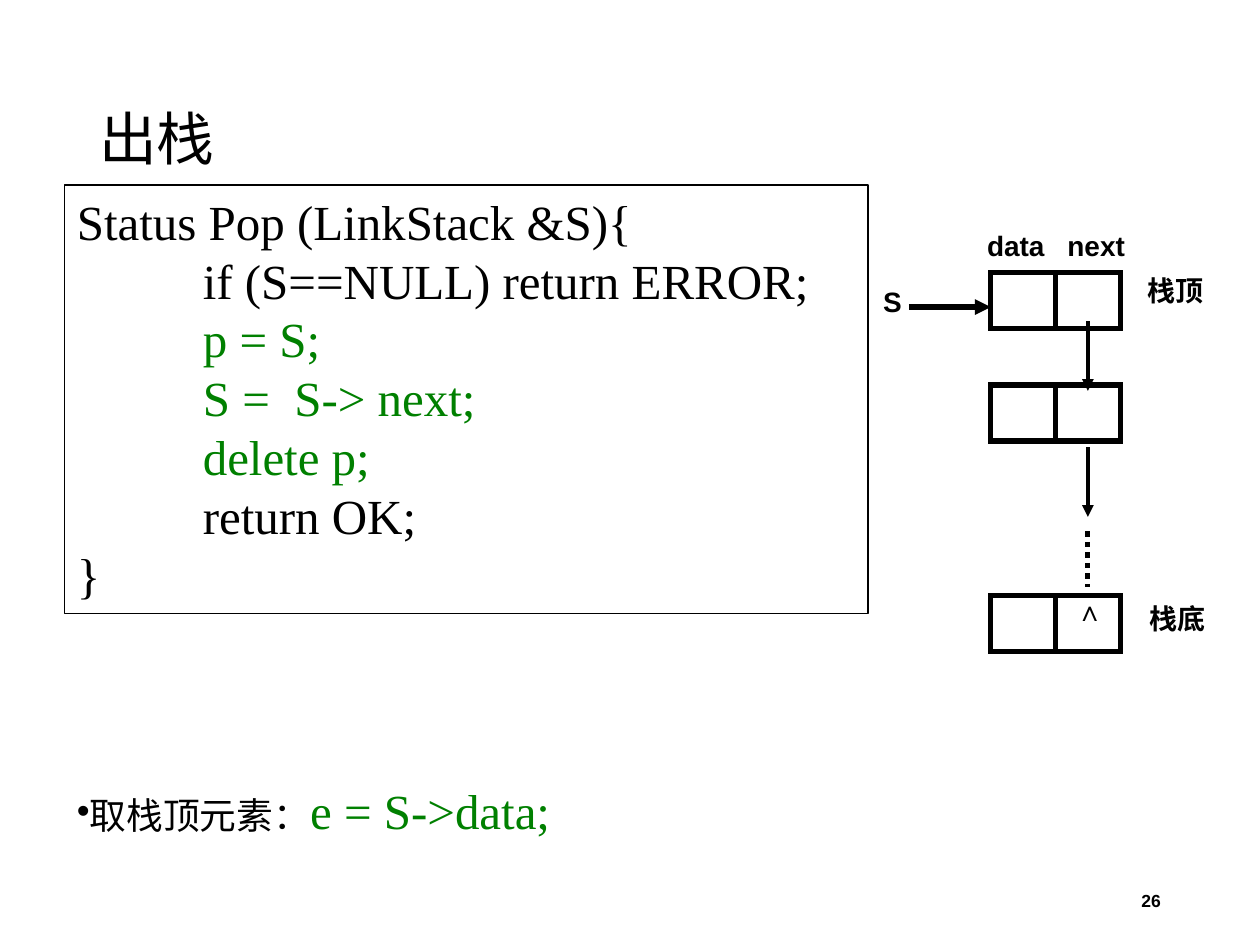
from lxml.etree import SubElement
from pptx import Presentation
from pptx.dml.color import RGBColor
from pptx.enum.dml import MSO_LINE_DASH_STYLE as Dash
from pptx.enum.shapes import MSO_CONNECTOR as Link, MSO_SHAPE as Shape
from pptx.enum.text import MSO_ANCHOR as Anchor, PP_ALIGN as Align
from pptx.oxml.ns import qn
from pptx.util import Cm, Pt

BLACK, GREEN, WHITE = "000000", "008000", "FFFFFF"
SERIF, SANS, CHINESE = "Times New Roman", "Arial", "Noto Sans CJK SC"

# Content: each paragraph is a list of (text, colour) runs
CODE = [
    [("Status Pop (LinkStack &S){", BLACK)],
    [("\tif (S==NULL) return ERROR;", BLACK)],
    [(" \t", BLACK), ("p = S;", GREEN)],
    [("\tS =  S-> next;", GREEN)],
    [(" \tdelete p;", GREEN)],
    [("\t", GREEN), ("return OK;", BLACK)],
    [("}", BLACK)],
]
CODE_TAB = 2.54

# Stack diagram, in centimetres
NODE_LEFT, NODE_WIDTH, NODE_HEIGHT = 19.97, 2.62, 1.13
NODE_TOPS = [5.5, 7.76, 12.01]
NEXT_X = 21.93
LABELS = [  # text, left, top, width, alignment
    ("data", 19.65, 4.49, 1.75, Align.LEFT),
    ("next", 21.27, 4.49, 1.75, Align.LEFT),
    ("栈顶", 22.88, 5.38, 1.75, Align.LEFT),
    ("栈底", 22.92, 12.01, 1.75, Align.LEFT),
    ("∧", 21.44, 11.84, 1, Align.CENTER),
    ("S", 17.49, 5.61, 1, Align.CENTER),
]
ARROWS = [  # x1, y1, x2, y2, width in points
    (NEXT_X, 6.48, NEXT_X, 7.88, 2.25),
    (NEXT_X, 9.02, NEXT_X, 10.42, 2.25),
    (18.32, 6.19, NODE_LEFT, 6.19, 3),
]


def color(value):
    return RGBColor.from_string(value)


def add_span(para, text, size, font, value=BLACK, bold=False):
    span = para.add_run()
    span.text = text
    span.font.size, span.font.name, span.font.bold = Pt(size), font, bold
    span.font.color.rgb = color(value)
    SubElement(span.font._element, qn("a:ea")).set("typeface", CHINESE)


def add_box(left, top, width, height, anchor=Anchor.TOP):
    box = page.shapes.add_textbox(Cm(left), Cm(top), Cm(width), Cm(height))
    box.text_frame.word_wrap = True
    box.text_frame.vertical_anchor = anchor
    return box


def add_rule(x1, y1, x2, y2, weight, arrow=False):
    rule = page.shapes.add_connector(Link.STRAIGHT, Cm(x1), Cm(y1), Cm(x2), Cm(y2))
    rule.line.color.rgb = color(BLACK)
    rule.line.width = Pt(weight)
    if arrow:
        SubElement(rule.line._get_or_add_ln(), qn("a:tailEnd")).set("type", "triangle")
    SubElement(rule._element.spPr, qn("a:effectLst"))
    return rule


deck = Presentation()
deck.slide_width, deck.slide_height = Cm(25.4), Cm(19.05)
page = deck.slides.add_slide(deck.slide_layouts[6])

# Title
para = add_box(1.75, 1.02, 21.9, 3.68, Anchor.MIDDLE).text_frame.paragraphs[0]
para.line_spacing = 0.9
add_span(para, "出栈", 33, CHINESE)

# Bulleted line
para = add_box(1.3, 15.75, 22.4, 1.98).text_frame.paragraphs[0]
para.line_spacing = 0.9
props = para._p.get_or_add_pPr()
props.set("marL", "0")
props.set("indent", str(Cm(-0.48)))
SubElement(props, qn("a:buFont")).set("typeface", SANS)
SubElement(props, qn("a:buChar")).set("char", "•")
add_span(para, "取栈顶元素：", 21, CHINESE)
add_span(para, "e = S->data;", 28, SERIF, GREEN)

# Slide number
para = add_box(17.93, 17.65, 5.72, 1.02, Anchor.MIDDLE).text_frame.paragraphs[0]
para.alignment = Align.RIGHT
add_span(para, "26", 10, SANS, bold=True)

# Code box, indented with one tab stop
box = add_box(1.3, 3.73, 16.2, 8.64)
box.line.color.rgb = color(BLACK)
box.line.width = Pt(0.75)
frame = box.text_frame
for index, spans in enumerate(CODE):
    para = frame.add_paragraph() if index else frame.paragraphs[0]
    tabs = SubElement(para._p.get_or_add_pPr(), qn("a:tabLst"))
    stop = SubElement(tabs, qn("a:tab"))
    stop.set("pos", str(Cm(CODE_TAB)))
    stop.set("algn", "l")
    for text, value in spans:
        add_span(para, text, 28, SERIF, value)

# Stack nodes, each split into data and next
for top in NODE_TOPS:
    node = page.shapes.add_shape(Shape.RECTANGLE, Cm(NODE_LEFT), Cm(top),
                                 Cm(NODE_WIDTH), Cm(NODE_HEIGHT))
    node.shadow.inherit = False
    node.fill.solid()
    node.fill.fore_color.rgb = color(WHITE)
    node.line.color.rgb = color(BLACK)
    node.line.width = Pt(3)
    SubElement(node.line._get_or_add_ln(), qn("a:miter")).set("lim", "800000")
    middle = NODE_LEFT + NODE_WIDTH / 2
    divider = add_rule(middle, top, middle, top + NODE_HEIGHT, 3)
    divider.begin_connect(node, 0)
    divider.end_connect(node, 2)

# Pointers and the dotted continuation
for arrow in ARROWS:
    add_rule(*arrow, arrow=True)
add_rule(NEXT_X, 10.71, NEXT_X, 11.84, 3).line.dash_style = Dash.ROUND_DOT

# Diagram labels
for text, left, top, width, alignment in LABELS:
    para = add_box(left, top, width, 0.94).text_frame.paragraphs[0]
    para.alignment = alignment
    add_span(para, text, 16, SANS, bold=True)

deck.save("out.pptx")
